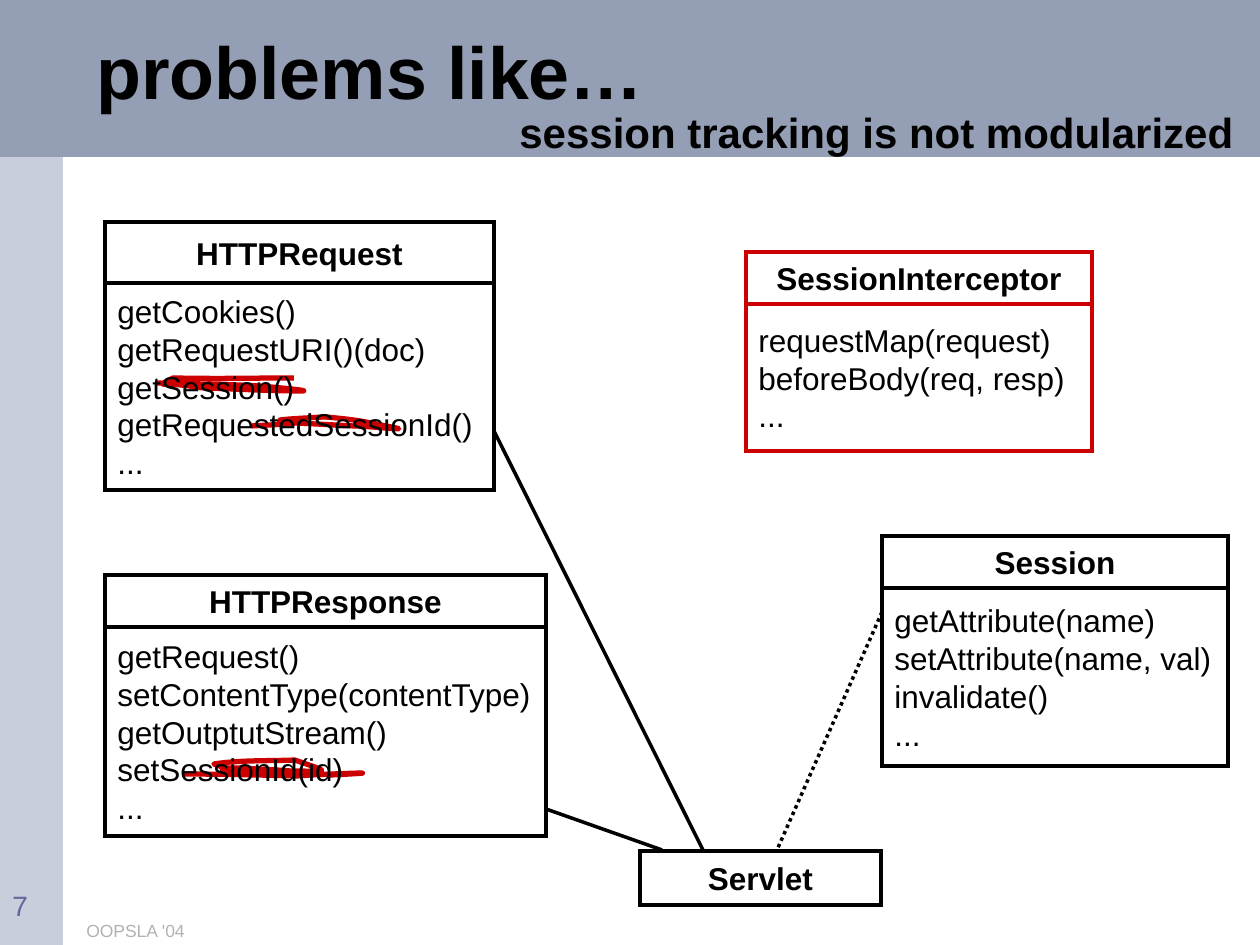
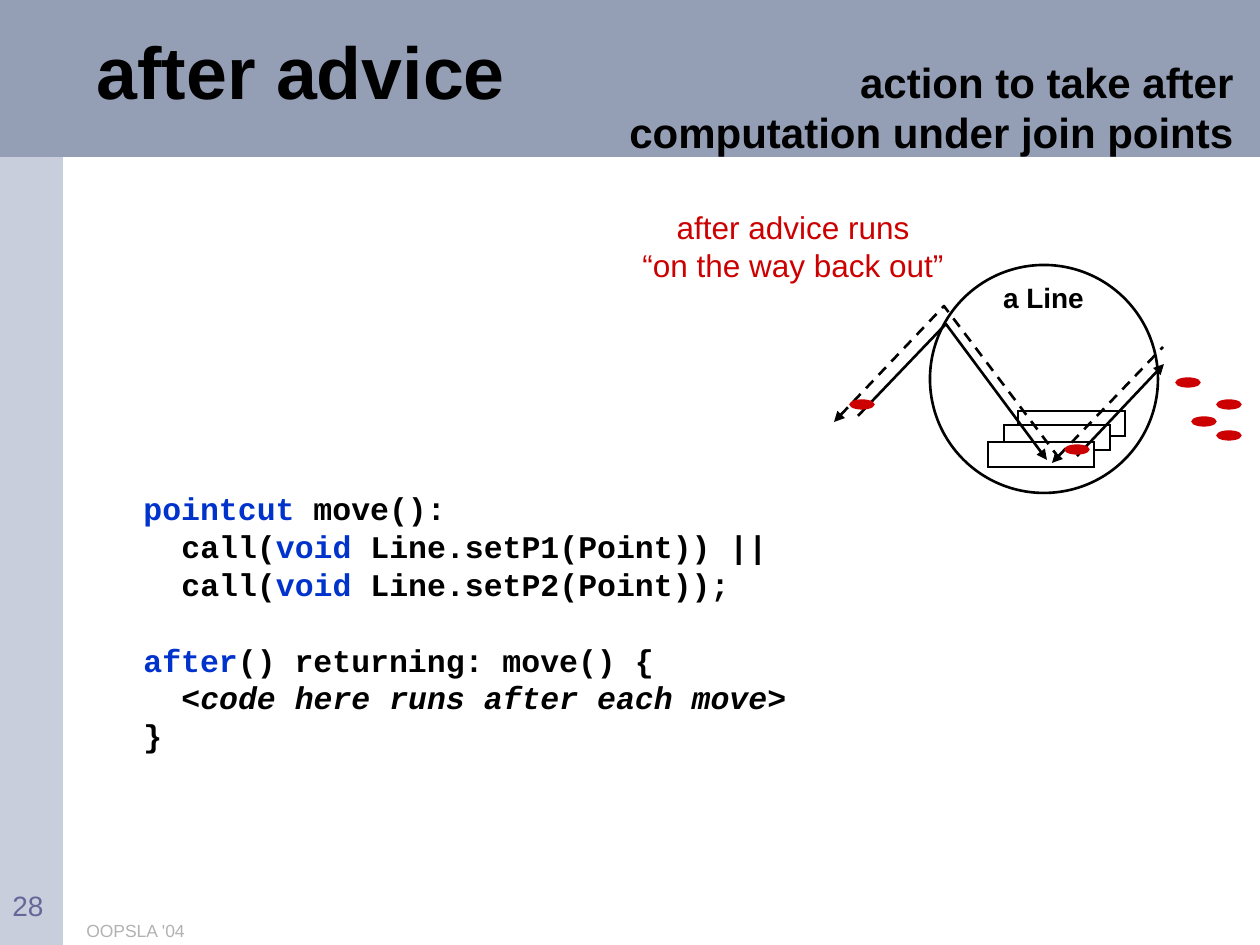
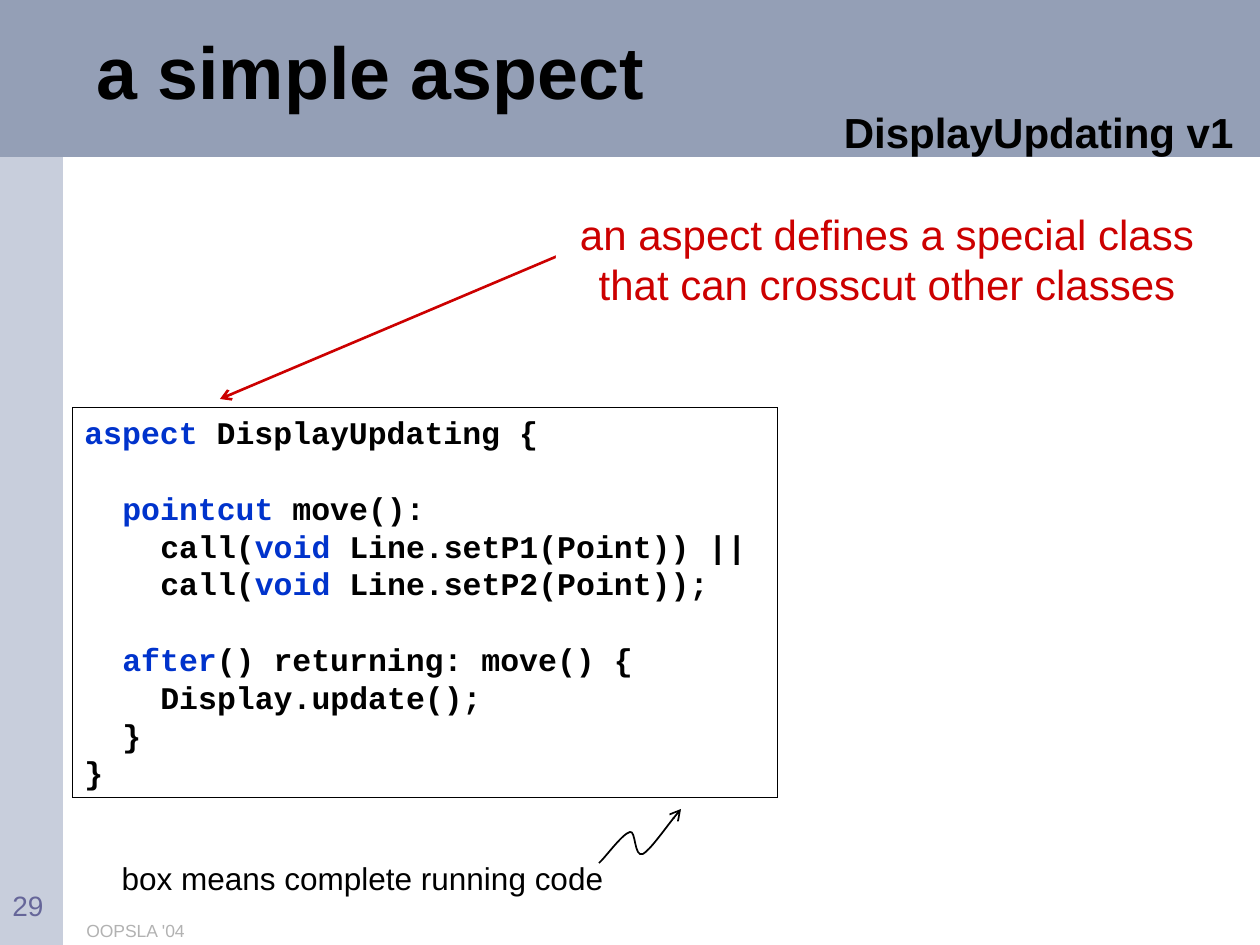
from lxml.etree import SubElement
from pptx import Presentation
from pptx.dml.color import RGBColor as RGB
from pptx.enum.dml import MSO_LINE as DASH
from pptx.enum.shapes import MSO_CONNECTOR as CONN, MSO_SHAPE as SHAPE
from pptx.enum.text import MSO_ANCHOR as ANCHOR, PP_ALIGN as ALIGN
from pptx.oxml.ns import qn
from pptx.util import Emu, Pt

SCALE = 914400 / 126
WIDE, HIGH = 1260, 945
COLORS = {"black": "000000", "white": "FFFFFF", "red": "CC0000", "blue": "0033CC",
          "band": "949FB6", "side": "C8CEDC", "foot": "B2B2B2", "page": "666699"}
ALIGNS = {"l": ALIGN.LEFT, "c": ALIGN.CENTER, "r": ALIGN.RIGHT}
CODE = 18
INDENT = 38


def px(n):
    return Emu(round(n * SCALE))


def rgb(name):
    return RGB.from_string(COLORS[name])


class Deck:
    """Hold the shared style and draw on the current slide."""

    def __init__(self):
        self.prs = Presentation()
        self.prs.slide_width, self.prs.slide_height = px(WIDE), px(HIGH)
        self.blank = self.prs.slide_layouts[6]
        self.shapes = None
        self.ready = False

    def bands(self):
        for item in list(self.blank.placeholders):
            item._element.getparent().remove(item._element)
        for size, fill in (((63, HIGH), "side"), ((WIDE, 157), "band")):
            band = self.shape(0, 0, *size, fill=fill)
            self.blank.shapes._spTree.append(band._element)
        self.ready = True

    def slide(self, title, sub, page):
        self.shapes = self.prs.slides.add_slide(self.blank).shapes
        if not self.ready:
            self.bands()
        self.text(84, 11, 1050, 132, [title], 42, bold=True, mid=True, space=0.85)
        more = 50 * sub.count("\n")
        self.text(431, 100 - more, 815, 63 + more, [sub], 24, bold=True, align="r")
        self.text(74, 914, 703, 31, ["OOPSLA '04"], 10, "foot")
        self.text(0, 882, 84, 31, [str(page)], 16, "page")

    def shape(self, x, y, w, h, fill=None, line=None, width=1, kind=SHAPE.RECTANGLE):
        item = self.shapes.add_shape(kind, px(x), px(y), px(w), px(h))
        self.paint(item, fill)
        if line:
            self.stroke(item, line, width, sharp=True)
        else:
            item.line.fill.background()
        return item

    def paint(self, item, fill):
        item.shadow.inherit = False
        if fill:
            item.fill.solid()
            item.fill.fore_color.rgb = rgb(fill)
        else:
            item.fill.background()

    def stroke(self, item, color, width, dash=None, sharp=False, head=None, tail=None):
        item.line.color.rgb = rgb(color)
        item.line.width = Pt(width)
        if dash:
            item.line.dash_style = dash
        pen = item.line._get_or_add_ln()
        if sharp:
            SubElement(pen, qn("a:miter"), lim="800000")
        for tag, kind in (("a:headEnd", head), ("a:tailEnd", tail)):
            if kind:
                SubElement(pen, qn(tag), type=kind)

    def line(self, start, end, color="black", width=2, **ends):
        item = self.shapes.add_connector(CONN.STRAIGHT, *map(px, (*start, *end)))
        self.stroke(item, color, width, **ends)
        SubElement(item._element.spPr, qn("a:effectLst"))

    def trace(self, points, color="black", width=1.5, **ends):
        first, *rest = [(px(x), px(y)) for x, y in points]
        pen = self.shapes.build_freeform(*first, scale=1.0)
        pen.add_line_segments(rest, close=False)
        item = pen.convert_to_shape()
        self.paint(item, None)
        self.stroke(item, color, width, **ends)
        return item

    def curve(self, points, color="black", width=1, **ends):
        item = self.trace(points, color, width, **ends)
        route = next(item._element.iter(qn("a:path")))
        legs = route.findall(qn("a:lnTo"))
        for i in range(0, len(legs), 3):
            bend = SubElement(route, qn("a:cubicBezTo"))
            for leg in legs[i:i + 3]:
                bend.append(leg[0])
                route.remove(leg)

    def frame(self, item, mid):
        body = item.text_frame
        body.word_wrap = True
        body.vertical_anchor = ANCHOR.MIDDLE if mid else ANCHOR.TOP
        return body

    def run(self, para, text, size, color="black", bold=False, italic=False, face="Arial"):
        run = para.add_run()
        run.text = text
        font = run.font
        font.name, font.size, font.bold, font.italic = face, Pt(size), bold, italic
        font.color.rgb = rgb(color)

    def paras(self, body, count):
        return [body.paragraphs[0]] + [body.add_paragraph() for _ in range(count - 1)]

    def fill(self, item, lines, size, color="black", bold=False, align="l", mid=False, space=None):
        body = self.frame(item, mid)
        for para, text in zip(self.paras(body, len(lines)), lines):
            para.alignment = ALIGNS[align]
            para.line_spacing = space or Pt(1.2 * size)
            for i, part in enumerate(text.split("\n")):
                if i:
                    para.add_line_break()
                self.run(para, part, size, color, bold)

    def box(self, x, y, w, h):
        return self.shapes.add_textbox(px(x), px(y), px(w), px(h))

    def text(self, x, y, w, h, lines, size, color="black", **style):
        self.fill(self.box(x, y, w, h), lines, size, color, **style)

    def label(self, x, y, w, h, text, color="black"):
        item = self.shape(x, y, w, h, line=color, width=2)
        self.fill(item, [text], 18, bold=True, align="c", mid=True)

    def group(self, x, y, w, head, body, name, calls, color="black"):
        self.label(x, y, w, head, name, color)
        item = self.shape(x, y + head, w, body, line=color, width=2)
        self.fill(item, [*calls, "..."], 18, mid=True)

    def code(self, item, lines):
        body = self.frame(item, False)
        body.margin_right = 0
        for para, (level, gap, *parts) in zip(self.paras(body, len(lines)), lines):
            para.alignment = ALIGN.LEFT
            para.line_spacing = Pt(1.2 * CODE)
            para.space_before = Pt(1.2 * CODE * gap)
            para._p.get_or_add_pPr().set("marL", str(px(INDENT * level)))
            for text, style in parts:
                self.run(para, text, CODE, bold=True, face="Courier New", **style)
        return body

    def dot(self, x, y):
        self.shape(x - 12, y - 4, 24, 9, "red", "red", 0.75, SHAPE.OVAL)


def key(text):
    return text, {"color": "blue"}


def word(text):
    return text, {}


def move(level):
    calls = [(level + 1, 0, word("call("), key("void "), word(f"Line.setP{n}(Point)){end}"))
             for n, end in ((1, " ||"), (2, ";"))]
    return [(level, level - 1, key("pointcut"), word(" move():")), *calls,
            (level, 1, key("after"), word("() returning: move() {"))]


def tracking(deck):
    deck.slide("problems like…", "session tracking is not modularized", 7)
    marks = [
        [(252, 426), (370, 420), (207, 423), (325, 417), (360, 420), (365, 422), (396, 428),
         (410, 431), (368, 426), (353, 426), (334, 425), (295, 423), (295, 423)],
        [(220, 771), (331, 769), (343, 777), (295, 760), (268, 761), (239, 760), (214, 764),
         (233, 771), (218, 766), (257, 769), (282, 770), (307, 772), (331, 775),
         (410, 771), (319, 774), (297, 776), (260, 775), (220, 774), (183, 774)],
        [(156, 383), (190, 384), (224, 384), (258, 386), (272, 387), (315, 391), (301, 391),
         (268, 391), (237, 389), (205, 388), (199, 388), (194, 387), (189, 386),
         (160, 382), (155, 388), (173, 378), (223, 379), (251, 378), (294, 378)]]
    for mark in marks:
        deck.curve(mark, "red", 3)
    deck.group(105, 222, 389, 61, 207, "HTTPRequest",
               ["getCookies()", "getRequestURI()(doc)",
                "getSession()\ngetRequestedSessionId()"])
    deck.line((494, 431), (703, 850))
    deck.group(105, 575, 441, 52, 209, "HTTPResponse",
               ["getRequest()", "setContentType(contentType)",
                "getOutptutStream()\nsetSessionId(id)"])
    deck.label(640, 851, 241, 54, "Servlet")
    deck.group(746, 252, 346, 52, 147, "SessionInterceptor",
               ["requestMap(request)", "beforeBody(req, resp)"], "red")
    deck.group(882, 536, 346, 52, 178, "Session",
               ["getAttribute(name)", "setAttribute(name, val)", "invalidate()"])
    deck.line((882, 612), (777, 850), dash=DASH.ROUND_DOT)
    deck.line((546, 809), (662, 850))


def advice(deck):
    deck.slide("after advice", "action to take after\ncomputation under join points", 28)
    note = ("<code here runs after each move>", {"italic": True})
    body = deck.code(deck.box(93, 294, 706, 504),
                     [*move(1), (2, 0, note), (1, 0, word("}"))])
    body.vertical_anchor = ANCHOR.BOTTOM
    body.margin_bottom = px(44)
    for x, y, w in ((1018, 411, 107), (1004, 425, 106), (988, 442, 106)):
        deck.shape(x, y, w, 25, "white", "black")
    deck.shape(930, 265, 228, 228, line="black", width=1.5, kind=SHAPE.OVAL)
    deck.text(981, 274, 125, 47, ["a Line"], 16, bold=True, align="c")
    deck.trace([(834, 422), (944, 306), (1056, 454)], dash=DASH.DASH, head="triangle")
    deck.trace([(858, 416), (946, 324), (1047, 460)], tail="triangle")
    deck.text(620, 202, 346, 88, ["after advice runs\n“on the way back out”"], 18, "red",
              align="c")
    deck.trace([(1052, 463), (1163, 347)], dash=DASH.DASH, head="triangle")
    deck.trace([(1077, 456), (1164, 364)], tail="triangle")
    for spot in ((862, 404), (1077, 449), (1204, 421), (1229, 435), (1188, 382), (1229, 404)):
        deck.dot(*spot)


def aspect(deck):
    deck.slide("a simple aspect", "DisplayUpdating v1", 29)
    deck.line((567, 252), (220, 399), "red", 1.5, tail="arrow")
    deck.fill(deck.shape(556, 202, 662, 113, "white"),
              ["an aspect defines a special class that can crosscut other classes"],
              24, "red", align="c")
    deck.fill(deck.shape(84, 853, 557, 50, "white"),
              ["box means complete running code"], 18, align="c")
    deck.curve([(599, 863), (605, 858), (622, 834), (630, 832), (636, 830), (634, 858),
                (643, 854), (650, 850), (673, 818), (681, 809)], tail="arrow")
    deck.code(deck.shape(72, 407, 705, 390, line="black", width=0.25),
              [(0, 0, key("aspect"), word(" DisplayUpdating {")),
               (1, 1, *move(1)[0][2:]), *move(1)[1:],
               (2, 0, word("Display.update();")), (1, 0, word("}")), (0, 0, word("}"))])


def main():
    deck = Deck()
    for build in (tracking, advice, aspect):
        build(deck)
    deck.prs.save("out.pptx")


if __name__ == "__main__":
    main()
